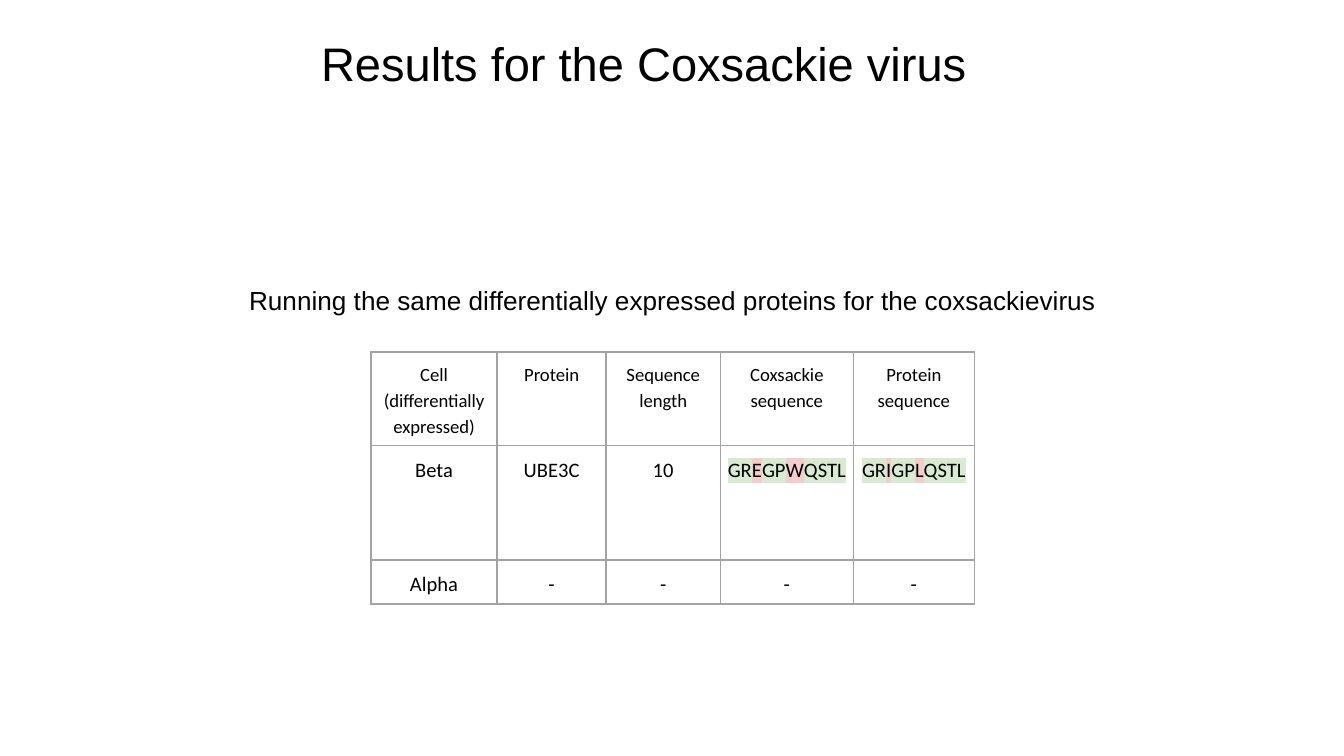
from lxml import etree
from pptx import Presentation
from pptx.dml.color import RGBColor
from pptx.enum.text import MSO_ANCHOR, PP_ALIGN
from pptx.oxml.ns import qn
from pptx.util import Inches, Pt

LEFT, CENTER = PP_ALIGN.LEFT, PP_ALIGN.CENTER
TOP, BOTTOM = MSO_ANCHOR.TOP, MSO_ANCHOR.BOTTOM
BLACK = RGBColor(0x00, 0x00, 0x00)
GRAY = RGBColor(0xA3, 0xA3, 0xA3)
MATCH = RGBColor(0xD9, 0xEA, 0xD3)
MISMATCH = RGBColor(0xF4, 0xCC, 0xCC)

TITLE = "Results for the Coxsackie virus"
SUBTITLE = "Running the same differentially expressed proteins for the coxsackievirus"


def aligned(*parts):
    """Colour sequence parts alternately as matching and mismatching."""
    return [(part, MISMATCH if i % 2 else MATCH) for i, part in enumerate(parts)]


ROWS = [
    ["Cell (differentially expressed)", "Protein", "Sequence length",
     "Coxsackie sequence", "Protein sequence"],
    ["Beta", "UBE3C", "10",
     aligned("GR", "E", "GP", "W", "QSTL"),
     aligned("GR", "I", "GP", "L", "QSTL")],
    ["Alpha", "-", "-", "-", "-"],
]
COLUMN_WIDTHS = [0.94, 0.81, 0.85, 0.99, 0.9]
ROW_HEIGHTS = [0.62, 0.85, 0.31]
HEADER_SIZE, BODY_SIZE = 10, 11
SIDE_MARGIN, END_MARGIN = Inches(0.05), Inches(0.06)


def write(frame, content, font="Arial", size=14, align=LEFT, spacing=None):
    """Write a string, or a list of (text, highlight) runs, as one paragraph."""
    frame.word_wrap = True
    paragraph = frame.paragraphs[0]
    paragraph.alignment = align
    paragraph.line_spacing = spacing
    runs = [(content, None)] if isinstance(content, str) else content
    for text, highlight in runs:
        run = paragraph.add_run()
        run.text = text
        run.font.name = font
        run.font.size = Pt(size)
        run.font.color.rgb = BLACK
        if highlight is not None:
            mark = etree.Element(qn("a:highlight"))
            etree.SubElement(mark, qn("a:srgbClr"), val=str(highlight))
            run._r.rPr.find(qn("a:solidFill")).addnext(mark)


def add_text(slide, content, box, anchor=TOP, margin=0.05, **text_format):
    frame = slide.shapes.add_textbox(*map(Inches, box)).text_frame
    frame.margin_top = frame.margin_bottom = Inches(margin)
    frame.vertical_anchor = anchor
    write(frame, content, **text_format)


def set_borders(cell):
    properties = cell._tc.get_or_add_tcPr()
    for position, side in enumerate(("lnL", "lnR", "lnT", "lnB")):
        line = etree.Element(qn(f"a:{side}"), w=str(Pt(1)))
        fill = etree.SubElement(line, qn("a:solidFill"))
        etree.SubElement(fill, qn("a:srgbClr"), val=str(GRAY))
        properties.insert(position, line)


def add_results(slide, left, top):
    table = slide.shapes.add_table(
        len(ROWS), len(COLUMN_WIDTHS), Inches(left), Inches(top),
        Inches(sum(COLUMN_WIDTHS)), Inches(sum(ROW_HEIGHTS))).table
    table.first_row = table.horz_banding = False
    for column, width in zip(table.columns, COLUMN_WIDTHS):
        column.width = Inches(width)
    for r, (row, height) in enumerate(zip(ROWS, ROW_HEIGHTS)):
        table.rows[r].height = Inches(height)
        for c, content in enumerate(row):
            cell = table.cell(r, c)
            cell.margin_left = cell.margin_right = SIDE_MARGIN
            cell.margin_top = cell.margin_bottom = END_MARGIN
            cell.fill.background()
            set_borders(cell)
            write(cell.text_frame, content, font="Calibri", align=CENTER,
                  size=BODY_SIZE if r else HEADER_SIZE, spacing=1.15)


def main():
    deck = Presentation()
    deck.slide_width = Inches(10)
    deck.slide_height = deck.slide_width * 9 // 16
    slide = deck.slides.add_slide(deck.slide_layouts[6])
    add_text(slide, TITLE, (2.29, 0.15, 5.42, 0.63), anchor=BOTTOM,
             margin=0.1, size=25.2)
    add_results(slide, 2.76, 2.62)
    add_text(slide, SUBTITLE, (1.5, 2.07, 7.01, 0.34), align=CENTER)
    deck.save("out.pptx")


if __name__ == "__main__":
    main()
